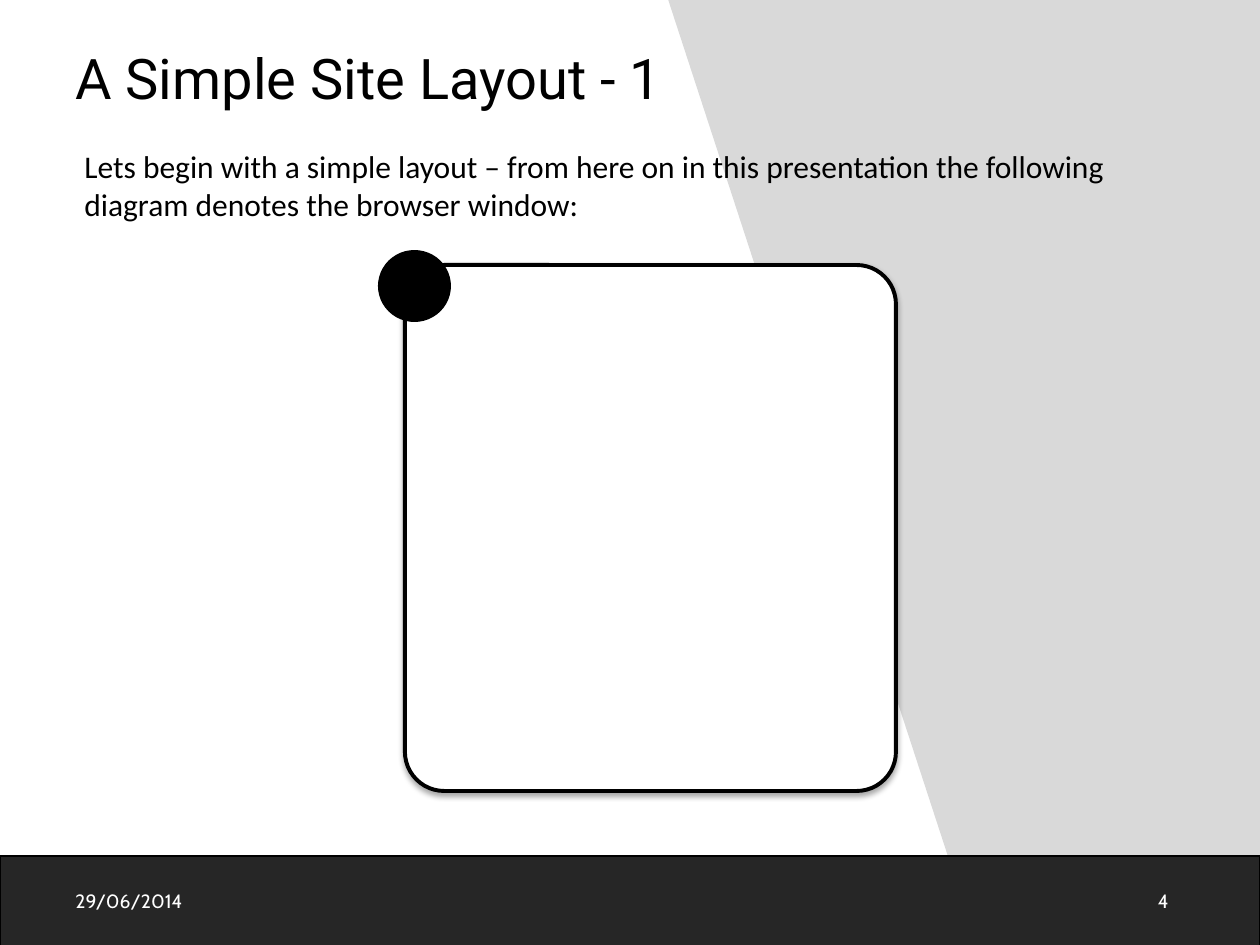
"""Build the slide that introduces the browser window diagram."""
from lxml.etree import SubElement
from pptx import Presentation
from pptx.dml.color import RGBColor
from pptx.enum.shapes import MSO_SHAPE
from pptx.enum.text import MSO_ANCHOR, PP_ALIGN
from pptx.oxml.ns import qn
from pptx.util import Pt

PX = 914400 // 126
COLOURS = {
    name: RGBColor.from_string(value)
    for name, value in {
        "black": "000000",
        "white": "FFFFFF",
        "panel": "D9D9D9",
        "footer": "262626",
    }.items()
}


def paint(shape, fill, line, width):
    shape.shadow.inherit = False
    shape.fill.solid()
    shape.fill.fore_color.rgb = COLOURS[fill]
    if line:
        shape.line.color.rgb = COLOURS[line]
        shape.line.width = Pt(width)
    else:
        shape.line.fill.background()


deck = Presentation()
deck.slide_width, deck.slide_height = 1260 * PX, 945 * PX
page = deck.slides.add_slide(deck.slide_layouts[6])

outline = page.shapes.build_freeform(1260, 946, scale=PX)
outline.add_line_segments([(978, 946), (669, 0), (1260, 0)], close=True)
paint(outline.convert_to_shape(), "panel", "panel", 0.75)

shapes = {}
for name, kind, bounds, fill, line, width in [
    ("footer", MSO_SHAPE.RECTANGLE, (0, 856, 1260, 90), "footer", "black", 0.75),
    ("window", MSO_SHAPE.ROUNDED_RECTANGLE, (405, 265, 491, 526), "white", "black", 2.25),
    ("corner", MSO_SHAPE.OVAL, (378, 250, 73, 72), "black", None, 0),
]:
    shapes[name] = page.shapes.add_shape(kind, *(length * PX for length in bounds))
    paint(shapes[name], fill, line, width)

window = shapes["window"]
window.adjustments[0] = 0.08
effects = window._element.spPr.find(qn("a:effectLst"))
shadow = SubElement(
    effects, qn("a:outerShdw"),
    blurRad=str(Pt(3.1)), dist=str(Pt(1.8)), dir="5400000", rotWithShape="0",
)
shade = SubElement(shadow, qn("a:srgbClr"), val=str(COLOURS["black"]))
SubElement(shade, qn("a:alpha"), val="35000")

intro = (
    "Lets begin with a simple layout – from here on in this presentation "
    "the following diagram denotes the browser window:"
)
for text, bounds, anchor, alignment, colour, font in [
    ("A Simple Site Layout - 1", (63, 38, 920, 79), MSO_ANCHOR.MIDDLE, PP_ALIGN.LEFT,
     "black", {"name": "Roboto", "size": Pt(32)}),
    ("4", (887, 876, 294, 50), MSO_ANCHOR.MIDDLE, PP_ALIGN.RIGHT,
     "white", {"name": "Cabin", "size": Pt(11)}),
    ("29/06/2014", (63, 876, 294, 50), MSO_ANCHOR.MIDDLE, PP_ALIGN.LEFT,
     "white", {"name": "Cabin", "size": Pt(11)}),
    (intro, (72, 141, 1140, 89), MSO_ANCHOR.TOP, PP_ALIGN.LEFT,
     "black", {"name": "Calibri", "size": Pt(18)}),
]:
    box = page.shapes.add_textbox(*(length * PX for length in bounds))
    box.text_frame.word_wrap = True
    box.text_frame.vertical_anchor = anchor
    para = box.text_frame.paragraphs[0]
    para.alignment = alignment
    span = para.add_run()
    span.text = text
    span.font.color.rgb = COLOURS[colour]
    for attribute, value in font.items():
        setattr(span.font, attribute, value)

deck.save("out.pptx")
